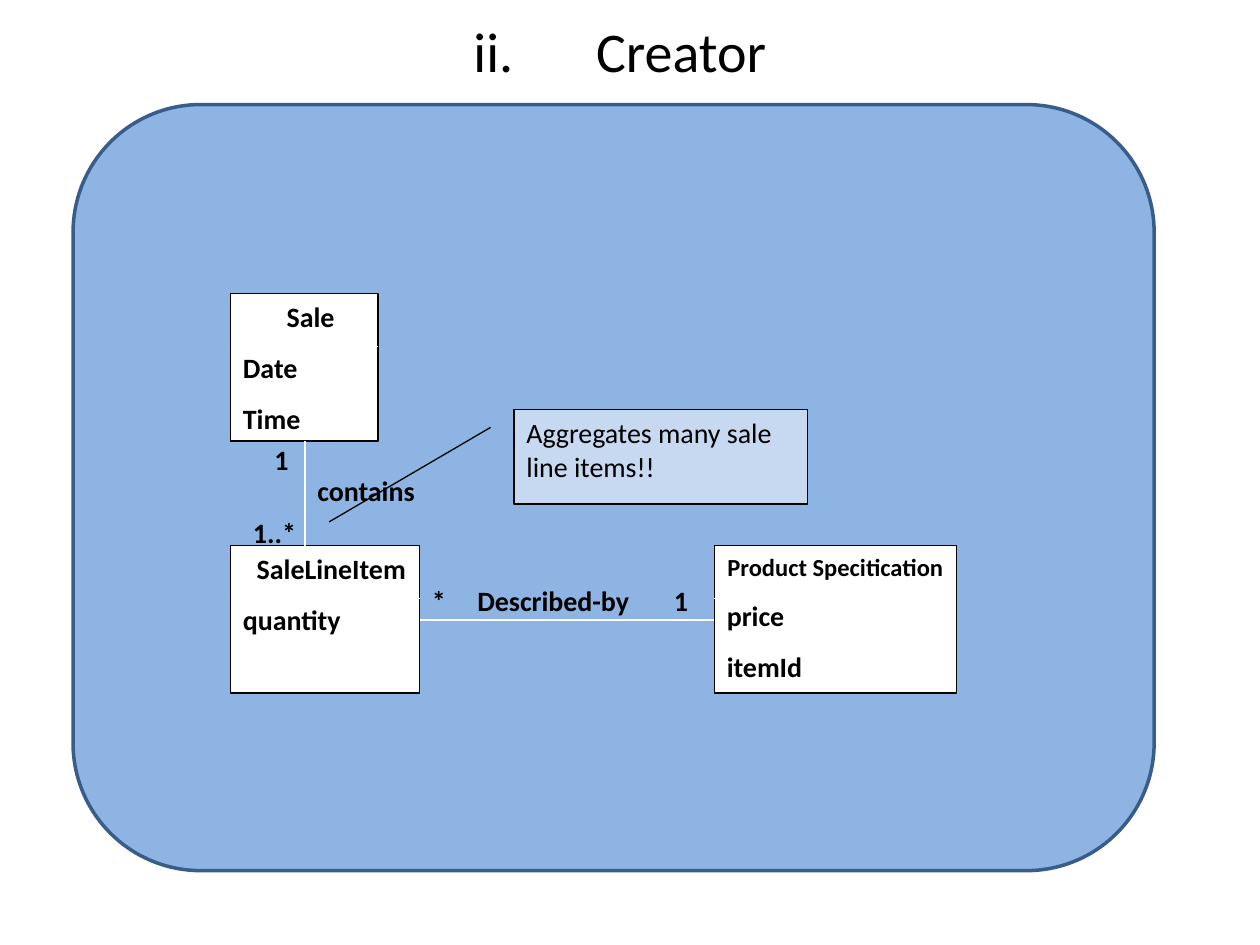
from lxml import etree
from pptx import Presentation
from pptx.dml.color import RGBColor
from pptx.enum.shapes import MSO_CONNECTOR, MSO_SHAPE
from pptx.enum.text import MSO_ANCHOR, PP_ALIGN
from pptx.oxml.ns import qn
from pptx.util import Inches, Pt

LEFT, CENTER = PP_ALIGN.LEFT, PP_ALIGN.CENTER
TOP = MSO_ANCHOR.TOP
STRAIGHT = MSO_CONNECTOR.STRAIGHT
RECT, ROUNDED = MSO_SHAPE.RECTANGLE, MSO_SHAPE.ROUNDED_RECTANGLE
CALLOUT = MSO_SHAPE.LINE_CALLOUT_1
COLORS = {"panel": "8EB4E3", "panel_line": "385D8A", "note": "C6D9F1",
          "white": "FFFFFF", "black": "000000"}


def add_text(tf, text, size=16, bold=False, align=LEFT, before=0, after=10,
             indent=0, gap=0, new=False):
    """Write one paragraph; gap widens its first space by that many points."""
    tf.word_wrap = True
    tf.vertical_anchor = TOP
    p = tf.add_paragraph() if new else tf.paragraphs[0]
    p.alignment = align
    p.space_before, p.space_after = Pt(before), Pt(after)
    pPr = p._p.get_or_add_pPr()
    pPr.set("marL", str(Inches(indent)))
    pPr.set("indent", "0")
    for part in text.partition(" ") if gap else [text]:
        r = p.add_run()
        r.text = part
        r.font.name, r.font.size, r.font.bold = "Calibri", Pt(size), bold
        r.font.color.rgb = RGBColor.from_string(COLORS["black"])
        if part == " ":
            r._r.get_or_add_rPr().set("spc", str(gap * 100))


def add_box(kind, x, y, w, h, fill, line="black", width=0.75):
    sp = s.shapes.add_shape(kind, Inches(x), Inches(y), Inches(w), Inches(h))
    sp.shadow.inherit = False
    sp.fill.solid()
    sp.fill.fore_color.rgb = RGBColor.from_string(COLORS[fill])
    sp.line.color.rgb = RGBColor.from_string(COLORS[line])
    sp.line.width = Pt(width)
    return sp


prs = Presentation()
prs.slide_width, prs.slide_height = Inches(10), Inches(7.5)
s = prs.slides.add_slide(prs.slide_layouts[5])

# Title
title = s.shapes.title
title.left, title.top = Inches(1.42), Inches(0.08)
title.width, title.height = Inches(7), Inches(1.25)
add_text(title.text_frame, "ii. Creator", size=32, align=CENTER, before=8,
         after=0, gap=40)

# Background panel
add_box(ROUNDED, 0.58, 0.83, 8.58, 6.08, "panel", "panel_line", 2)

# Callout note
note = add_box(CALLOUT, 4.08, 3.25, 2.33, 0.75, "note")
for i, value in enumerate((0.19, -0.08, 1.19, -0.63)):
    note.adjustments[i] = value
add_text(note.text_frame, "Aggregates many sale line items!!")

# Class boxes: left, top, width, name, name size, name indent, attributes
classes = [
    (1.83, 2.33, 1.17, "Sale", 16, 0.1, ["Date", "Time"]),
    (1.83, 4.33, 1.5, "SaleLineItem", 16, 0.1, ["quantity"]),
    (5.67, 4.33, 1.92, "Product Specitication", 14, 0, ["price", "itemId"]),
]
lines = []
for x, y, w, name, size, indent, attributes in classes:
    tf = add_box(RECT, x, y, w, 1.17, "white").text_frame
    add_text(tf, name, size=size, bold=True, align=CENTER, indent=indent)
    for attribute in attributes:
        add_text(tf, attribute, bold=True, new=True)
    lines.append((x, y + 0.42, x + w, y + 0.42))

# Class dividers and associations
lines += [(2.42, 3.5, 2.42, 4.33), (3.33, 4.92, 5.67, 4.92)]
for ends in lines:
    cn = s.shapes.add_connector(STRAIGHT, *(Inches(v) for v in ends))
    cn.line.color.rgb = RGBColor.from_string(COLORS["white"])
    cn.line.width = Pt(0.75)
    etree.SubElement(cn._element.spPr, qn("a:effectLst"))

# Association labels: left, top, width, height, text
labels = [
    (2.08, 3.46, 0.34, 0.29, "1"),
    (1.91, 4.04, 0.67, 0.21, "1..*"),
    (2.42, 3.71, 1, 0.38, "contains"),
    (3.33, 4.58, 0.34, 0.25, "*"),
    (3.69, 4.58, 1.5, 0.25, "Described-by"),
    (5.25, 4.58, 0.34, 0.25, "1"),
]
for x, y, w, h, text in labels:
    tb = s.shapes.add_textbox(Inches(x), Inches(y), Inches(w), Inches(h))
    add_text(tb.text_frame, text, bold=True)

prs.save("out.pptx")
